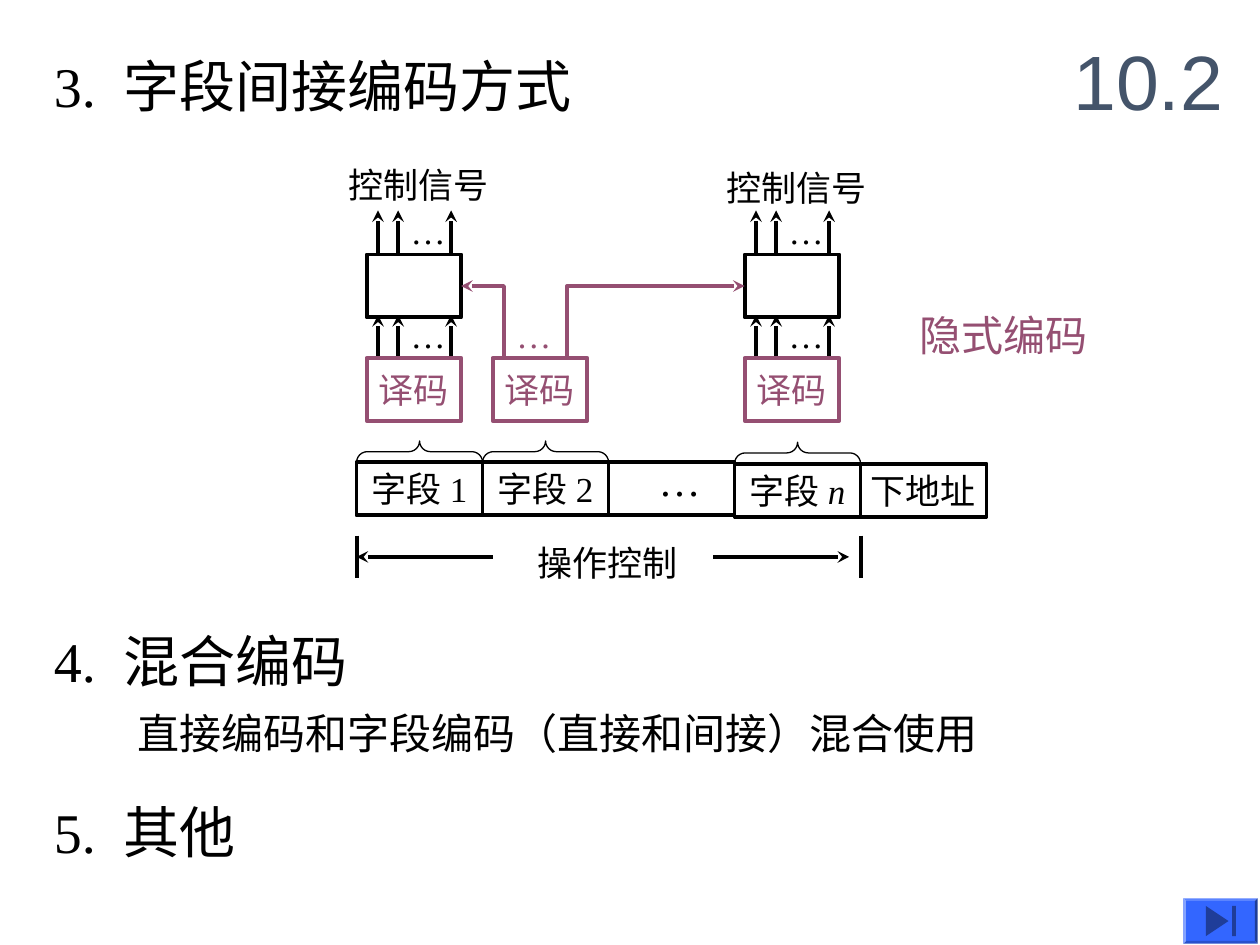
from dataclasses import dataclass

from lxml.etree import SubElement
from pptx import Presentation
from pptx.dml.color import RGBColor
from pptx.enum.shapes import MSO_CONNECTOR, MSO_SHAPE
from pptx.enum.text import MSO_ANCHOR, PP_ALIGN
from pptx.oxml.ns import qn
from pptx.util import Inches, Pt


@dataclass(frozen=True)
class Theme:
    """Colours, fonts and sizes of the slide."""
    ink: str = "000000"
    plum: str = "954F72"
    slate: str = "44546A"
    button: str = "3366FF"
    icon: str = "1F3D99"
    serif: str = "Times New Roman"
    sans: str = "Arial"
    cjk: str = "DejaVu Sans"
    label: int = 20
    body: int = 24
    heading: int = 32
    number: int = 44
    stroke: float = 2.25
    hairline: float = 0.75


T = Theme()


def style_run(r, size, color=T.ink, font=T.serif):
    """Give a run its font, size and colour."""
    r.font.size = Pt(size)
    r.font.name = font
    r.font.color.rgb = RGBColor.from_string(color)


def add_text(slide, box, text, size=T.label, color=T.ink, font=T.serif, wrap=False):
    """Add a one-paragraph text box and return its text frame."""
    tf = slide.shapes.add_textbox(*map(Inches, box)).text_frame
    tf.text = text
    tf.word_wrap = wrap
    style_run(tf.paragraphs[0].runs[0], size, color, font)
    return tf


def outline(s, color, width):
    """Leave a shape unfilled, with a plain outline."""
    s.shadow.inherit = False
    s.fill.background()
    s.line.color.rgb = RGBColor.from_string(color)
    s.line.width = Pt(width)


def add_arrowhead(s):
    """Put a stealth arrowhead at the end of a line."""
    SubElement(s.element.spPr.find(qn("a:ln")), qn("a:tailEnd"), type="stealth")


def add_box(slide, box, text="", color=T.ink):
    """Add an outlined rectangle with centred text."""
    s = slide.shapes.add_shape(MSO_SHAPE.RECTANGLE, *map(Inches, box))
    outline(s, color, T.stroke)
    tf = s.text_frame
    tf.word_wrap = False
    tf.vertical_anchor = MSO_ANCHOR.MIDDLE
    p = tf.paragraphs[0]
    p.alignment = PP_ALIGN.CENTER
    if text:
        p.text = text
        style_run(p.runs[0], T.label, color)
    return s


def add_line(slide, x1, y1, x2, y2, arrow=False):
    """Add a straight line, with an arrowhead at its end if asked."""
    s = slide.shapes.add_connector(MSO_CONNECTOR.STRAIGHT, *map(Inches, (x1, y1, x2, y2)))
    s.line.color.rgb = RGBColor.from_string(T.ink)
    s.line.width = Pt(T.stroke)
    if arrow:
        add_arrowhead(s)
    SubElement(s.element.spPr, qn("a:effectLst"))


def add_elbow(slide, x1, y1, x2, y2):
    """Add a bent arrow that goes up and then sideways."""
    fb = slide.shapes.build_freeform(Inches(x1), Inches(y1))
    corners = [(Inches(x1), Inches(y2)), (Inches(x2), Inches(y2))]
    fb.add_line_segments(corners, close=False)
    s = fb.convert_to_shape()
    outline(s, T.plum, T.stroke)
    add_arrowhead(s)


def add_heading(slide, box, number, title):
    """Add a numbered heading with its title on a tab stop."""
    tf = add_text(slide, box, number + "\t", T.heading, wrap=True)
    p = tf.paragraphs[0]
    tabs = SubElement(p._p.get_or_add_pPr(), qn("a:tabLst"))
    SubElement(tabs, qn("a:tab"), pos=str(Inches(0.55)), algn="l")
    r = p.add_run()
    r.text = title
    style_run(r, T.heading, font=T.cjk)


def add_signals(slide, x, y):
    """Add three upward arrows with an ellipsis, standing on a box top."""
    for dx in (0.09, 0.25, 0.67):
        add_line(slide, x + dx, y, x + dx, y - 0.34, arrow=True)
    add_text(slide, (x + 0.25, y - 0.4, 0.48, 0.44), "…")


def add_decoder_column(slide, box, label_top):
    """Add a decoder, the box it feeds and the control signals above."""
    x, y, w, h = box
    add_signals(slide, x, y + 0.82)
    add_box(slide, (x, y + 0.82, w, h), "译码", T.plum)
    add_box(slide, box)
    add_signals(slide, x, y - 0.01)
    add_text(slide, (x - 0.24, label_top, 1.31, 0.44), "控制信号")


def add_brace(slide, x, y, w):
    """Add a brace that spans a field and points up."""
    h = 0.17
    box = (x + (w - h) / 2, y - (w + h) / 2, h, w)
    s = slide.shapes.add_shape(MSO_SHAPE.LEFT_BRACE, *map(Inches, box))
    s.rotation = 90
    s.adjustments[0] = 0.5
    outline(s, T.ink, T.hairline)


def add_field_row(slide, box):
    """Add the fields of the instruction word, with braces over the coded ones."""
    x, y, w, h = box
    fields = [("字段 1", 0, True), ("字段 2", 0, True), ("", 0, False),
              ("字段 ", 0.01, True), ("下地址", 0.01, False)]
    step = w / len(fields)
    for i, (text, drop, braced) in enumerate(fields):
        left, top = x + i * step, y + drop
        s = add_box(slide, (left, top, step, h), text)
        if braced:
            add_brace(slide, left, top, step)
        if text == "字段 ":
            r = s.text_frame.paragraphs[0].add_run()
            r.text = "n"
            style_run(r, T.label)
            r.font.italic = True
    add_text(slide, (x + 2.3, y - 0.11, 0.53, 0.5), "…", T.body)


def add_control_span(slide, box):
    """Add the dimension line under the control fields."""
    x, y, w, h = box
    for edge in (x, x + w):
        add_line(slide, edge, y, edge, y + h)
    mid = y + h / 2
    add_line(slide, x + 1.08, mid, x, mid, arrow=True)
    add_line(slide, x + 2.83, mid, x + 3.91, mid, arrow=True)
    add_text(slide, (x + 1.34, y, 1.31, 0.44), "操作控制")


def add_end_button(slide, box):
    """Add the bevelled button with its triangle and bar."""
    x, y, w, h = box
    parts = [(MSO_SHAPE.BEVEL, box, T.button, 0),
             (MSO_SHAPE.ISOSCELES_TRIANGLE, (x + 0.15, y + 0.09, 0.24, 0.18), T.icon, 90),
             (MSO_SHAPE.RECTANGLE, (x + 0.39, y + 0.06, 0.03, 0.24), T.icon, 0)]
    for shape, part, color, angle in parts:
        s = slide.shapes.add_shape(shape, *map(Inches, part))
        s.shadow.inherit = False
        s.fill.solid()
        s.fill.fore_color.rgb = RGBColor.from_string(color)
        s.line.fill.background()
        s.rotation = angle
        if shape == MSO_SHAPE.BEVEL:
            s.adjustments[0] = 0.06


def add_diagram(slide, box):
    """Add the indirect field coding diagram."""
    x, y, w, h = box
    add_decoder_column(slide, (x + 0.08, y + 0.77, 0.75, 0.5), y)
    add_decoder_column(slide, (x + 3.08, y + 0.77, 0.75, 0.5), y + 0.02)
    add_box(slide, (x + 1.08, y + 1.59, 0.75, 0.5), "译码", T.plum)
    add_text(slide, (x + 1.17, y + 1.19, 0.48, 0.44), "…", color=T.plum)
    add_elbow(slide, x + 1.17, y + 1.6, x + 0.83, y + 1.02)
    add_elbow(slide, x + 1.67, y + 1.6, x + 3.08, y + 1.02)
    add_field_row(slide, (x, y + 2.42, w, 0.42))
    add_control_span(slide, (x, y + 3, 4, h - 3))


def main():
    """Build the slide and save it."""
    prs = Presentation()
    prs.slide_width, prs.slide_height = Inches(10), Inches(7.5)
    slide = prs.slides.add_slide(prs.slide_layouts[6])
    for top, number, title in [(0.36, "3.", "字段间接编码方式"),
                               (4.92, "4.", "混合编码"), (6.28, "5.", "其他")]:
        add_heading(slide, (0.33, top, 7.32, 0.64), number, title)
    add_text(slide, (0.99, 5.57, 8.35, 0.5), "直接编码和字段编码（直接和间接）混合使用",
             T.body, font=T.cjk, wrap=True)
    add_diagram(slide, (2.83, 1.25, 5, 3.34))
    tf = add_text(slide, (8.42, 0.17, 1.58, 0.92), "10.2", T.number, T.slate, T.sans, True)
    tf.vertical_anchor = MSO_ANCHOR.MIDDLE
    add_text(slide, (7.2, 2.41, 2.36, 0.5), "隐式编码", T.body, T.plum, wrap=True)
    add_end_button(slide, (9.39, 7.13, 0.59, 0.36))
    prs.save("out.pptx")


if __name__ == "__main__":
    main()
